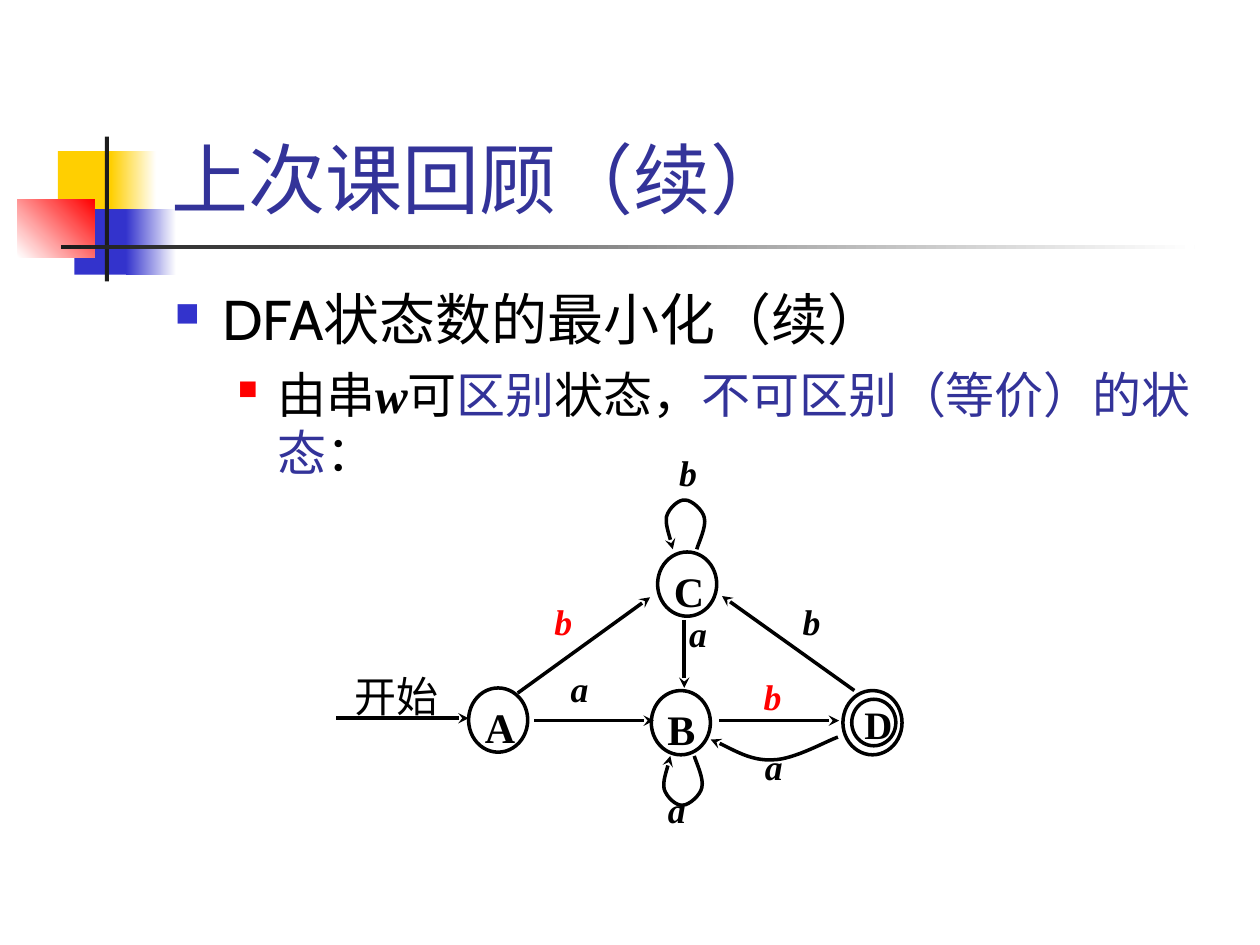
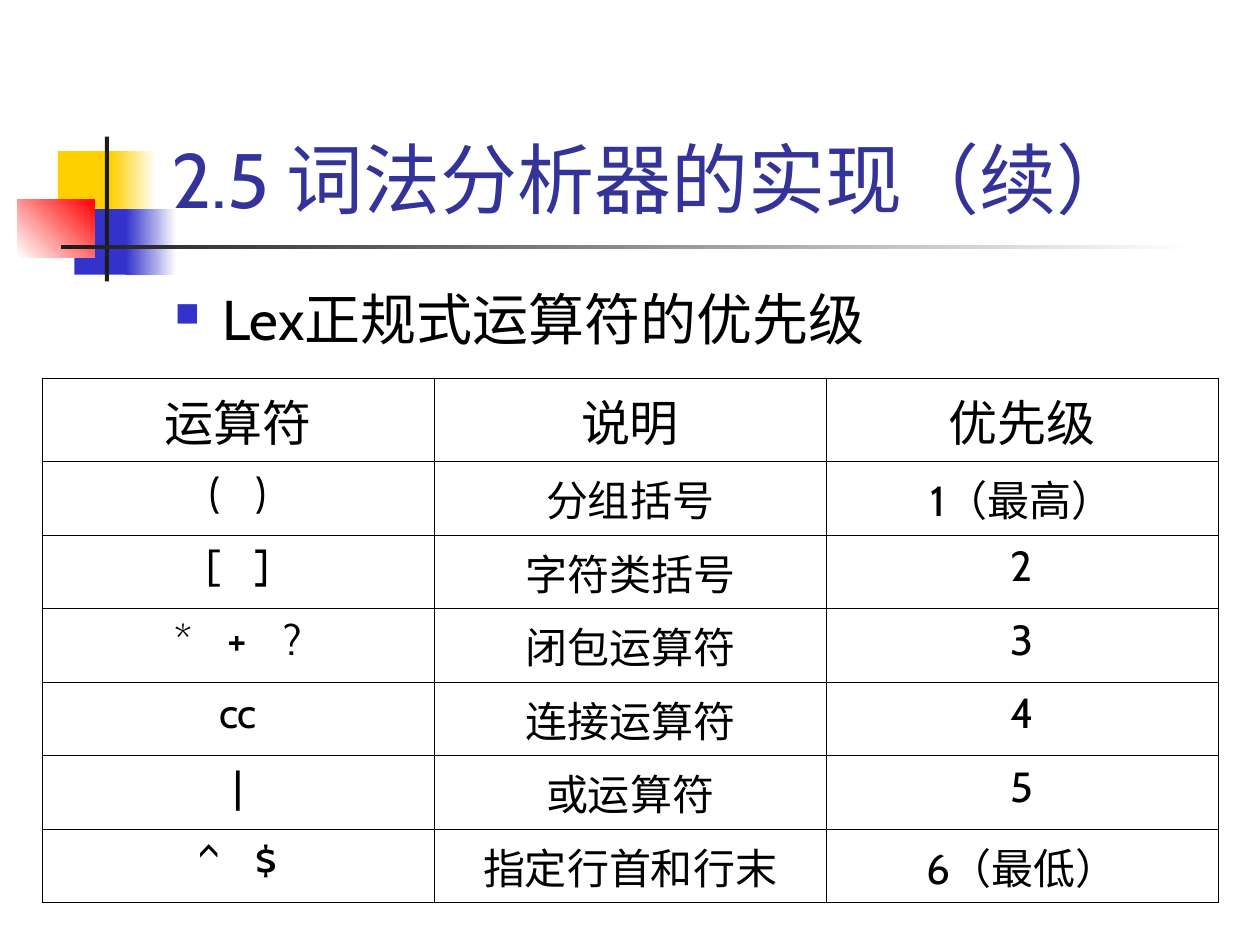
from lxml import etree
from pptx import Presentation
from pptx.dml.color import RGBColor
from pptx.enum.shapes import MSO_CONNECTOR, MSO_SHAPE
from pptx.enum.text import MSO_ANCHOR, MSO_AUTO_SIZE, PP_ALIGN
from pptx.oxml.ns import qn
from pptx.util import Pt

RECT, OVAL = MSO_SHAPE.RECTANGLE, MSO_SHAPE.OVAL
STRAIGHT = MSO_CONNECTOR.STRAIGHT
LEFT, CENTER = PP_ALIGN.LEFT, PP_ALIGN.CENTER
TOP, BOTTOM = MSO_ANCHOR.TOP, MSO_ANCHOR.BOTTOM

BLACK = RGBColor(0x00, 0x00, 0x00)
WHITE = RGBColor(0xFF, 0xFF, 0xFF)
INK = RGBColor(0x1C, 0x1C, 0x1C)
YELLOW = RGBColor(0xFF, 0xCF, 0x01)
BLUE = RGBColor(0x33, 0x33, 0xCC)
NAVY = RGBColor(0x33, 0x33, 0x99)
RED = RGBColor(0xFF, 0x00, 0x00)

SANS, SERIF = "Cabin", "Times New Roman"
TITLE = dict(name=SANS, size=Pt(44), color=NAVY)
POINT = dict(name=SANS, size=Pt(32), color=BLACK)
SUBPOINT = dict(POINT, size=Pt(28))
SUBPOINT_KEY = dict(SUBPOINT, color=NAVY)
SUBPOINT_VAR = dict(SUBPOINT, name=SERIF, bold=True, italic=True)
HEAD = dict(SUBPOINT)
CELL = dict(POINT, size=Pt(24))
START = dict(name=SERIF, size=Pt(24), color=BLACK)
STATE = dict(START, bold=True)
FINAL = dict(STATE, size=Pt(22.2))
EDGE = dict(STATE, size=Pt(20.4), italic=True)

TITLE_BOX = (90.7, 16.6, 613.4, 115.2)
BODY_BOX = (92.9, 159.1, 612, 324)
DIAGRAM_BOX = (192, 258, 324, 222)
TABLE_BOX = (24, 216, 672, 294)

BULLETS = [
    dict(margin=27, hang=27, before=8, color=BLUE, percent=60),
    dict(margin=58.5, hang=22.5, before=7, color=RED, percent=55),
]

DECOR = [
    (33.1, 86.4, 34.6, 37.4, [YELLOW], 0),
    (63.4, 86.4, 25.9, 37.4, [YELLOW, WHITE], 0),
    (42.5, 119.5, 33.1, 37.4, [BLUE], 0),
    (72, 119.5, 28.8, 37.4, [BLUE, WHITE], 0),
    (10.1, 113.8, 43.9, 33.1, [WHITE, RED], 45),
    (59.9, 78, 2.4, 82.8, [INK], 0),
    (34.7, 140, 648, 2.6, [INK, WHITE], 0),
]

NODE_W, NODE_H = 33.8, 36.7
NODE_INSETS = (4.3, 2.2, 1.4, 3.6)
LABEL_INSETS = (4.3, 2.2, 4.3, 2.2)
NODES = [("A", 75.8, 135.1), ("B", 180.2, 136.6), ("C", 183.8, 57.4), ("", 289.7, 136.6)]
ARROWS = [
    (0.2, 152.4, 75.8, 152.4),
    (113.3, 153.8, 181.7, 153.8),
    (219.1, 153.8, 287.5, 153.8),
    (103.9, 138, 179.5, 83.3),
    (199, 96.2, 199, 135.1),
    (296.2, 136.6, 220.6, 82.6),
]
LABELS = [
    ("a", 129.8, 123.6, BLACK), ("b", 120.5, 85.4, RED),
    ("b", 240, 127.9, RED), ("a", 240.7, 168.2, BLACK),
    ("b", 191.8, 0, BLACK), ("a", 185.3, 192.7, BLACK),
    ("b", 262.3, 85.4, BLACK), ("a", 197.5, 91.9, BLACK),
]
LOOP = [(0, 0), (0.7, -3), (5.7, -13), (4.3, -18), (3.6, -22.3), (-2.9, -28.1),
        (-6.5, -28.1), (-10.1, -28.8), (-15.9, -23.7), (-17.3, -18.7),
        (-18, -14.4), (-14.4, -3.6), (-13.7, 0)]
LOOP_STARTS = [(206.2, 55.9, 1), (204.8, 174, -1)]
D_TO_B = [(286.8, 163.2), (280.3, 165.4), (261.6, 176.2), (249.4, 176.2),
          (237.1, 176.9), (222, 167.5), (214.1, 164.6)]

OPERATORS = [
    ("运算符", "说明", "优先级"),
    ("( )", "分组括号", "1（最高）"),
    ("[ ]", "字符类括号", "2"),
    ("* + ?", "闭包运算符", "3"),
    ("cc", "连接运算符", "4"),
    ("|", "或运算符", "5"),
    ("^ $", "指定行首和行末", "6（最低）"),
]
OPERATOR_GAP = 15


def points(*values):
    """Turn numbers into point lengths."""
    return [Pt(v) for v in values]


def add_run(p, text, fmt):
    """Append a run formatted from a dict."""
    r = p.add_run()
    r.text = text
    for key, value in fmt.items():
        if key == "color":
            r.font.color.rgb = value
        else:
            setattr(r.font, key, value)
    return r


def set_frame(tf, insets, anchor=TOP):
    """Wrap a text frame and set its insets and anchor."""
    sides = ("margin_left", "margin_top", "margin_right", "margin_bottom")
    for side, value in zip(sides, points(*insets)):
        setattr(tf, side, value)
    tf.word_wrap = True
    tf.auto_size = MSO_AUTO_SIZE.NONE
    tf.vertical_anchor = anchor


def outline(sp, arrow=False):
    """Give a shape or connector a black 2 pt line, optionally with an arrowhead."""
    sp.line.color.rgb = BLACK
    sp.line.width = Pt(2)
    if arrow:
        etree.SubElement(sp.line._get_or_add_ln(), qn("a:tailEnd"), type="stealth")


def add_decor(s):
    """Draw the coloured squares and rules beside the title."""
    for x, y, w, h, colors, angle in DECOR:
        sp = s.shapes.add_shape(RECT, *points(x, y, w, h))
        sp.shadow.inherit = False
        sp.line.fill.background()
        if len(colors) == 1:
            sp.fill.solid()
            sp.fill.fore_color.rgb = colors[0]
        else:
            sp.fill.gradient()
            sp.fill.gradient_angle = angle
            for stop, color in zip(sp.fill.gradient_stops, colors):
                stop.color.rgb = color


def add_title(s, box, text):
    """Place and format the title placeholder above the decoration."""
    title = s.shapes.title
    title.left, title.top, title.width, title.height = points(*box)
    set_frame(title.text_frame, (7.2, 3.6, 7.2, 3.6), BOTTOM)
    p = title.text_frame.paragraphs[0]
    p.alignment = LEFT
    add_run(p, text, TITLE)
    s.shapes._spTree.append(title._element)


def set_bullet(p, margin, hang, before, color, percent):
    """Add a square bullet with a hanging indent."""
    pPr = p._p.get_or_add_pPr()
    pPr.set("marL", str(Pt(margin)))
    pPr.set("indent", str(-Pt(hang)))
    clr = etree.SubElement(pPr, qn("a:buClr"))
    etree.SubElement(clr, qn("a:srgbClr"), val=str(color))
    etree.SubElement(pPr, qn("a:buSzPct"), val=str(percent * 1000))
    etree.SubElement(pPr, qn("a:buChar"), char="■")
    if before:
        p.space_before = Pt(before)


def add_body(s, box, items):
    """Write bulleted paragraphs given as (level, runs)."""
    tf = s.shapes.add_textbox(*points(*box)).text_frame
    set_frame(tf, (7.2, 3.6, 7.2, 3.6))
    for i, (level, runs) in enumerate(items):
        p = tf.add_paragraph() if i else tf.paragraphs[0]
        bullet = BULLETS[level]
        set_bullet(p, **dict(bullet, before=bullet["before"] if i else 0))
        for text, fmt in runs:
            add_run(p, text, fmt)


def add_state(s, box, text, fmt, insets):
    """Draw an unfilled state circle with its name."""
    sp = s.shapes.add_shape(OVAL, *points(*box))
    sp.shadow.inherit = False
    sp.fill.background()
    outline(sp)
    if text:
        set_frame(sp.text_frame, insets)
        p = sp.text_frame.paragraphs[0]
        p.alignment = LEFT
        add_run(p, text, fmt)
        return p


def add_label(s, box, text, fmt, spacing=1.0):
    """Write a label of the diagram."""
    tf = s.shapes.add_textbox(*points(*box)).text_frame
    set_frame(tf, LABEL_INSETS)
    p = tf.paragraphs[0]
    p.line_spacing = spacing
    add_run(p, text, fmt)


def add_curve(s, controls):
    """Draw a curved arrow through cubic control points."""
    start, *rest = [points(x, y) for x, y in controls]
    builder = s.shapes.build_freeform(*start)
    builder.add_line_segments(rest, close=False)
    sp = builder.convert_to_shape()
    sp.shadow.inherit = False
    sp.fill.background()
    outline(sp, arrow=True)
    path = next(sp._element.iter(qn("a:path")))
    segments = path.findall(qn("a:lnTo"))
    for i in range(0, len(segments), 3):
        cubic = etree.SubElement(path, qn("a:cubicBezTo"))
        for segment in segments[i:i + 3]:
            cubic.append(segment[0])
            path.remove(segment)


def add_diagram(s, box):
    """Draw the state diagram from the top left of its box."""
    x0, y0 = box[:2]
    for text, x, y in NODES:
        add_state(s, (x0 + x, y0 + y, NODE_W, NODE_H), text, STATE, NODE_INSETS)
    p = add_state(s, (x0 + 294.7, y0 + 141.6, 25.2, 26.6), "D", FINAL, (3.6, 0, 0.7, 0))
    p.line_spacing = 0.9
    for x1, y1, x2, y2 in ARROWS:
        cx = s.shapes.add_connector(STRAIGHT, *points(x0 + x1, y0 + y1, x0 + x2, y0 + y2))
        outline(cx, arrow=True)
        etree.SubElement(cx._element.spPr, qn("a:effectLst"))
    for x, y, way in LOOP_STARTS:
        add_curve(s, [(x0 + x + dx, y0 + y + way * dy) for dx, dy in LOOP])
    add_curve(s, [(x0 + x, y0 + y) for x, y in D_TO_B])
    add_label(s, (x0 + 6, y0 + 122.9, 59, 34.6), "开始", START)
    for text, x, y, color in LABELS:
        add_label(s, (x0 + x, y0 + y, 27.7, 29.5), text, dict(EDGE, color=color), 0.9)


def add_borders(cell):
    """Rule all four sides of a cell in thin black."""
    tcPr = cell._tc.get_or_add_tcPr()
    for i, side in enumerate(("a:lnL", "a:lnR", "a:lnT", "a:lnB")):
        ln = etree.Element(qn(side), w=str(Pt(0.45)))
        fill = etree.SubElement(ln, qn("a:solidFill"))
        etree.SubElement(fill, qn("a:srgbClr"), val=str(BLACK))
        tcPr.insert(i, ln)


def add_operator_table(s, box, rows):
    """Build the ruled table of operators and priorities."""
    table = s.shapes.add_table(len(rows), len(rows[0]), *points(*box)).table
    table.first_row = table.horz_banding = False
    for i, row in enumerate(rows):
        fmt = CELL if i else HEAD
        for j, text in enumerate(row):
            cell = table.cell(i, j)
            cell.fill.background()
            add_borders(cell)
            p = cell.text_frame.paragraphs[0]
            p.alignment = CENTER
            for k, part in enumerate(text.split(" ")):
                if k:
                    gap = add_run(p, " ", fmt)
                    gap.font._element.set("spc", str(OPERATOR_GAP * 100))
                add_run(p, part, fmt)


def add_slide(prs, title, items):
    """Add a slide with the shared decoration, title and bullets."""
    s = prs.slides.add_slide(prs.slide_layouts[5])
    add_decor(s)
    add_title(s, TITLE_BOX, title)
    add_body(s, BODY_BOX, items)
    return s


def main():
    """Build and save the presentation."""
    prs = Presentation()
    prs.slide_width, prs.slide_height = Pt(720), Pt(540)
    s = add_slide(prs, "上次课回顾（续）", [
        (0, [("DFA状态数的最小化（续）", POINT)]),
        (1, [("由串", SUBPOINT), ("w", SUBPOINT_VAR), ("可", SUBPOINT),
             ("区别", SUBPOINT_KEY), ("状态，", SUBPOINT),
             ("不可区别（等价）的状态", SUBPOINT_KEY), ("：", SUBPOINT)]),
    ])
    add_diagram(s, DIAGRAM_BOX)
    s = add_slide(prs, "2.5 词法分析器的实现（续）", [(0, [("Lex正规式运算符的优先级", POINT)])])
    add_operator_table(s, TABLE_BOX, OPERATORS)
    prs.save("out.pptx")


if __name__ == "__main__":
    main()
